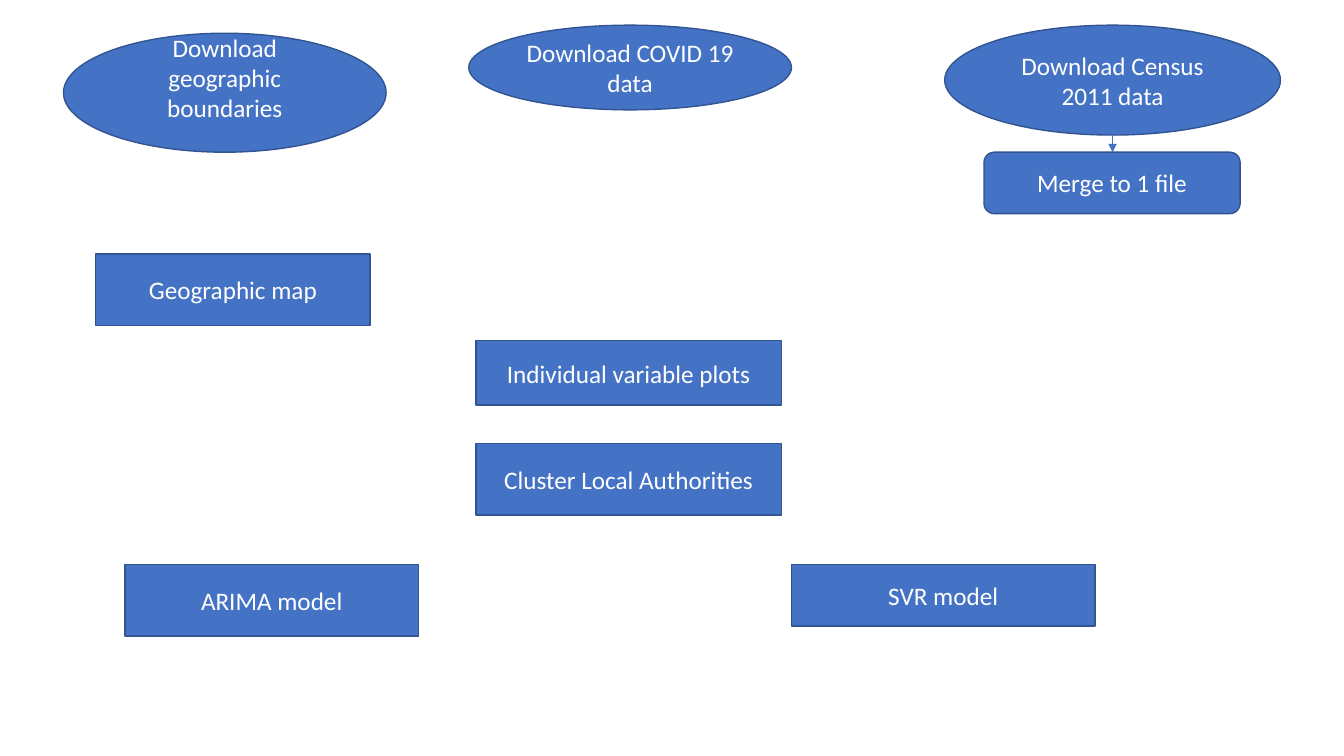
"""Build a flow slide of data downloads, preparation steps and models."""
import pptx
import pptx.dml.color
import pptx.enum.shapes
import pptx.enum.text
import pptx.oxml.ns
import pptx.util
from lxml import etree

Inches = pptx.util.Inches
Pt = pptx.util.Pt
Kind = pptx.enum.shapes.MSO_SHAPE

COLOURS = {"fill": "4472C4", "outline": "325491", "text": "FFFFFF"}
FONT = "Calibri"
RAISED_INSET = 0.35

STEPS = [
    ("Download COVID 19 data", Kind.OVAL, 4.65, 0.25, 3.2, 0.84),
    ("Download geographic boundaries", Kind.OVAL, 0.63, 0.33, 3.2, 1.18),
    ("Download Census 2011 data", Kind.OVAL, 9.37, 0.25, 3.33, 1.09),
    ("Merge to 1 file", Kind.ROUNDED_RECTANGLE, 9.76, 1.51, 2.54, 0.61),
    ("Geographic map", Kind.RECTANGLE, 0.95, 2.52, 2.72, 0.71),
    ("Individual variable plots", Kind.RECTANGLE, 4.72, 3.38, 3.03, 0.64),
    ("Cluster Local Authorities", Kind.RECTANGLE, 4.72, 4.4, 3.03, 0.71),
    ("ARIMA model", Kind.RECTANGLE, 1.24, 5.6, 2.91, 0.71),
    ("SVR model", Kind.RECTANGLE, 7.85, 5.6, 3.01, 0.61),
]
ARROWS = [("Download Census 2011 data", "Merge to 1 file")]


def colour(name):
    return pptx.dml.color.RGBColor.from_string(COLOURS[name])


def add_step(page, label, kind, *place):
    box = page.shapes.add_shape(kind, *map(Inches, place))
    box.shadow.inherit = False
    box.fill.solid()
    box.fill.fore_color.rgb = colour("fill")
    box.line.color.rgb = colour("outline")
    box.line.width = Pt(1)
    frame = box.text_frame
    frame.word_wrap = True
    frame.vertical_anchor = pptx.enum.text.MSO_ANCHOR.MIDDLE
    paragraph = frame.paragraphs[0]
    paragraph.text = label
    paragraph.alignment = pptx.enum.text.PP_ALIGN.CENTER
    paragraph.font.name = FONT
    paragraph.font.size = Pt(18)
    paragraph.font.color.rgb = colour("text")
    return box


def add_arrow(page, source, target):
    middle = source.left + source.width // 2
    arrow = page.shapes.add_connector(
        pptx.enum.shapes.MSO_CONNECTOR.STRAIGHT,
        middle, source.top + source.height, middle, target.top)
    arrow.line.color.rgb = colour("fill")
    arrow.line.width = Pt(0.5)
    qualify = pptx.oxml.ns.qn
    properties = arrow.element.spPr
    etree.SubElement(properties.find(qualify("a:ln")), qualify("a:tailEnd"), type="triangle")
    etree.SubElement(properties, qualify("a:effectLst"))


deck = pptx.Presentation()
deck.slide_width, deck.slide_height = Inches(13.33), Inches(7.5)
page = deck.slides.add_slide(deck.slide_layouts[6])

boxes = {step[0]: add_step(page, *step) for step in STEPS}
boxes["Download geographic boundaries"].text_frame.margin_bottom = Inches(RAISED_INSET)
for source, target in ARROWS:
    add_arrow(page, boxes[source], boxes[target])

deck.save("out.pptx")
